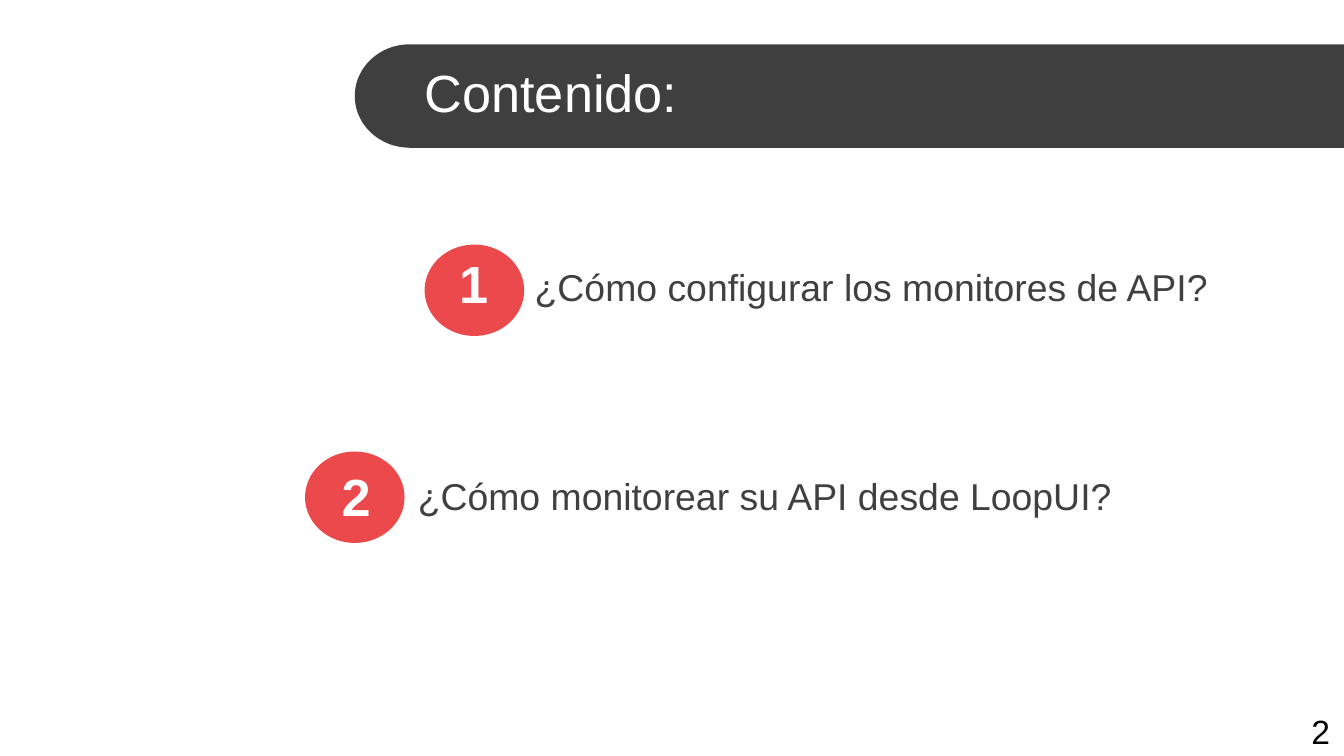
from math import cos, pi, sin

from pptx import Presentation
from pptx.dml.color import RGBColor
from pptx.enum.shapes import MSO_SHAPE
from pptx.enum.text import MSO_ANCHOR, PP_ALIGN
from pptx.util import Inches, Pt

OVAL = MSO_SHAPE.OVAL
MID, TOP = MSO_ANCHOR.MIDDLE, MSO_ANCHOR.TOP
LEFT, MIDDLE = PP_ALIGN.LEFT, PP_ALIGN.CENTER

RED, DARK, GREY, WHITE, BLACK = "EB494B", "3F3F3F", "404040", "FFFFFF", "000000"
WIDTH = 10
HEIGHT = WIDTH * 9 / 16
HEAD = "Contenido:"
PAGE = "2"
DOT = (0.74, 0.68)
ITEMS = [
    {"text": "¿Cómo configurar los monitores de API?", "dot": (3.16, 1.82),
     "num": (3.07, 1.82, 0.91, 0.57), "box": (3.88, 1.91, 5.91, 0.44)},
    {"text": "¿Cómo monitorear su API desde LoopUI?", "dot": (2.27, 3.36),
     "num": (2.19, 3.4, 0.92, 0.57), "box": (3.01, 3.47, 6.45, 0.44)},
]
BAR = {"left": 2.64, "top": 0.33, "right": WIDTH, "low": 1.1, "bend": 3.05}
STEPS = 40


def color(code):
    return RGBColor.from_string(code)


def paint(shape, code):
    shape.shadow.inherit = False
    shape.fill.solid()
    shape.fill.fore_color.rgb = color(code)
    shape.line.fill.background()


def write(shape, text, size, code, bold=False, align=LEFT, anchor=MID, wrap=True):
    frame = shape.text_frame
    for name, value in {"word_wrap": wrap, "vertical_anchor": anchor}.items():
        setattr(frame, name, value)
    line = frame.paragraphs[0]
    line.alignment = align
    run = line.add_run()
    run.text = text
    for name, value in {"name": "Arial", "size": Pt(size), "bold": bold}.items():
        setattr(run.font, name, value)
    run.font.color.rgb = color(code)


def label(slide, spot, text, size, code, **style):
    box = slide.shapes.add_textbox(*map(Inches, spot))
    write(box, text, size, code, **style)


def add_bar(slide):
    wide = BAR["bend"] - BAR["left"]
    half = (BAR["low"] - BAR["top"]) / 2
    mid = BAR["top"] + half
    turns = [pi / 2 + pi * i / STEPS for i in range(STEPS + 1)]
    arc = [(BAR["bend"] + wide * cos(t), mid - half * sin(t)) for t in turns]
    ends = [(BAR["right"], BAR["low"]), (BAR["right"], BAR["top"])]
    start, *rest = [tuple(map(Inches, point)) for point in arc + ends]
    pen = slide.shapes.build_freeform(*start)
    pen.add_line_segments(rest, close=True)
    paint(pen.convert_to_shape(), DARK)


def add_head(slide):
    title = slide.shapes.title
    spot = map(Inches, (3.06, 0.37, 6.94, 0.63))
    for name, value in zip(("left", "top", "width", "height"), spot):
        setattr(title, name, value)
    write(title, HEAD, 28, WHITE)
    slide.shapes._spTree.append(title._element)


def main():
    deck = Presentation()
    deck.slide_width, deck.slide_height = Inches(WIDTH), Inches(HEIGHT)
    slide = deck.slides.add_slide(deck.slide_layouts[5])
    add_bar(slide)
    add_head(slide)
    for rank, item in enumerate(ITEMS, 1):
        dot = slide.shapes.add_shape(OVAL, *map(Inches, item["dot"] + DOT))
        paint(dot, RED)
        label(slide, item["box"], item["text"], 20, GREY)
        label(slide, item["num"], str(rank), 28, WHITE, bold=True, align=MIDDLE)
    label(slide, (9.66, 5.24, 0.34, 0.4), PAGE, 18, BLACK, anchor=TOP, wrap=False)
    deck.save("out.pptx")


if __name__ == "__main__":
    main()
